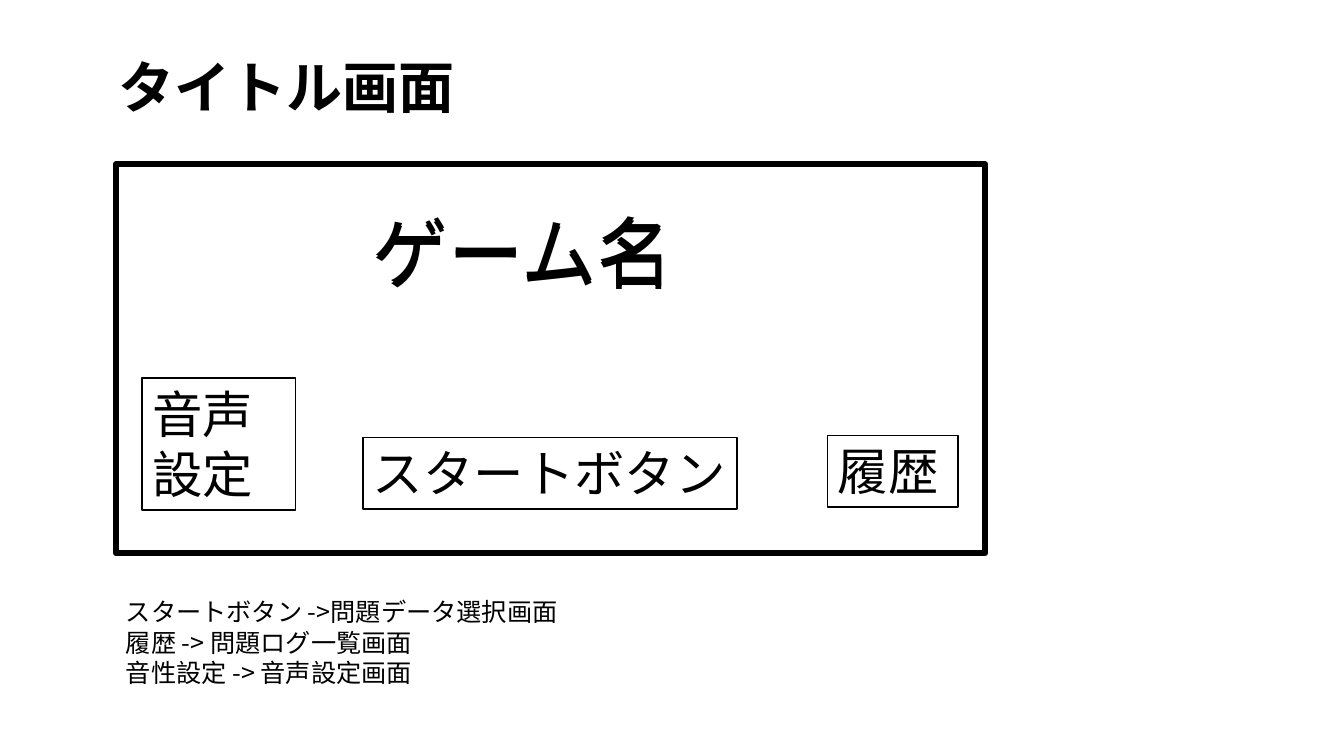
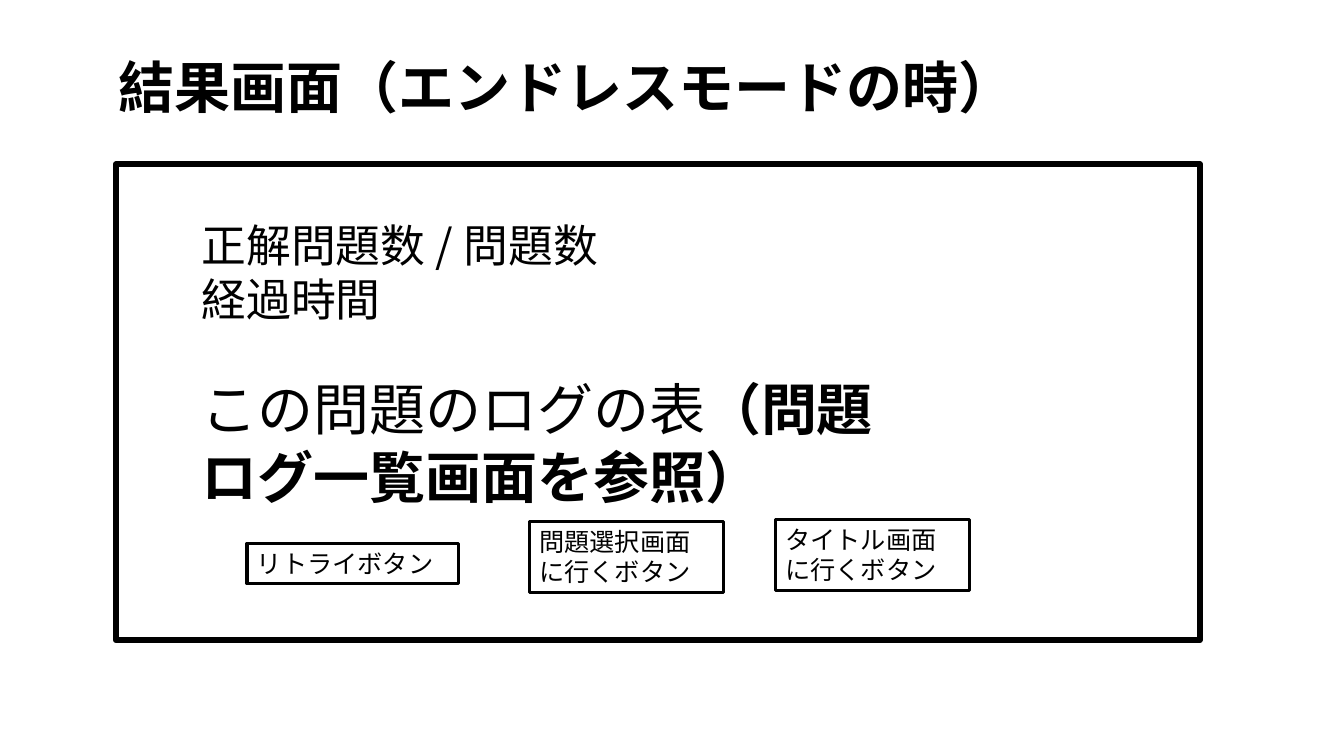
from dataclasses import dataclass

from lxml.etree import SubElement
from pptx import Presentation
from pptx.dml.color import RGBColor
from pptx.enum.shapes import MSO_SHAPE
from pptx.enum.text import MSO_ANCHOR, MSO_AUTO_SIZE, PP_ALIGN
from pptx.oxml.ns import qn
from pptx.util import Inches, Pt


@dataclass(frozen=True)
class Theme:
    """Hold the colours, font, type sizes and line widths."""
    ink: RGBColor = RGBColor(0, 0, 0)
    paper: RGBColor = RGBColor(255, 255, 255)
    font: str = "Noto Sans CJK JP"
    note: int = 18
    body: int = 32
    label: int = 36
    head: int = 40
    name: int = 54
    thin: float = 1
    mid: float = 2.25
    thick: float = 4.5


THEME = Theme()
FRAME = {
    "word_wrap": True,
    "auto_size": MSO_AUTO_SIZE.SHAPE_TO_FIT_TEXT,
    "vertical_anchor": MSO_ANCHOR.TOP,
}


def apply(item, values):
    """Set each named attribute on an item."""
    for key, value in values.items():
        setattr(item, key, value)


def write(shape, lines, size):
    """Write lines, each a list of (text, bold) runs, into a shape."""
    frame = shape.text_frame
    apply(frame, FRAME)
    for index, line in enumerate(lines):
        para = frame.add_paragraph() if index else frame.paragraphs[0]
        para.alignment = PP_ALIGN.LEFT
        for text, bold in line:
            run = para.add_run()
            run.text = text
            apply(run.font, {"size": Pt(size), "bold": bold, "name": THEME.font})
            run.font.color.rgb = THEME.ink
            SubElement(run.font._element, qn("a:ea"), typeface=THEME.font)


def plain(*texts):
    """Turn texts into lines of one regular run."""
    return [[(text, False)] for text in texts]


def place(area):
    """Turn inches into lengths."""
    return [Inches(value) for value in area]


def start(deck, title, width):
    """Add a slide with its title."""
    slide = deck.slides.add_slide(deck.slide_layouts[5])
    head = slide.shapes.title
    sides = ("left", "top", "width", "height")
    apply(head, dict(zip(sides, place((1.08, 0.47, width, 0.77)))))
    write(head, [[(title, True)]], THEME.head)
    return slide


def label(slide, area, lines, size):
    """Add a text box."""
    write(slide.shapes.add_textbox(*place(area)), lines, size)


def box(slide, area, line=None, lines=(), size=THEME.note):
    """Add a white box with an optional border and text."""
    shape = slide.shapes.add_shape(MSO_SHAPE.RECTANGLE, *place(area))
    shape.shadow.inherit = False
    shape.fill.solid()
    shape.fill.fore_color.rgb = THEME.paper
    if line:
        shape.line.color.rgb = THEME.ink
        shape.line.width = Pt(line)
    else:
        shape.line.fill.background()
    if lines:
        write(shape, lines, size)


def screen(slide, width, height):
    """Add the thick outline of a game screen."""
    box(slide, (1.15, 1.63, width, height), THEME.thick)


def opening(deck):
    """Build the title screen slide."""
    slide = start(deck, "タイトル画面", 7.7)
    screen(slide, 8.62, 3.86)
    for top in (2.01, 1.98):
        label(slide, (3.6, top, 3.6, 1), plain("ゲーム名"), THEME.name)
    notes = plain(
        "スタートボタン ->問題データ選択画面",
        "履歴 -> 問題ログ一覧画面",
        "音性設定 -> 音声設定画面",
    )
    label(slide, (1.15, 5.87, 6.04, 1.01), notes, THEME.note)
    for text, area in (
        ("スタートボタン", (3.6, 4.34, 3.71, 0.71)),
        ("履歴", (8.21, 4.32, 1.29, 0.71)),
        ("音声設定", (1.41, 3.75, 1.52, 1.31)),
    ):
        box(slide, area, THEME.thin, plain(text), THEME.label)


def result(deck):
    """Build the result screen slide."""
    slide = start(deck, "結果画面（エンドレスモードの時） ", 10.28)
    screen(slide, 10.75, 4.72)
    score = plain("正解問題数 / 問題数", "経過時間")
    box(slide, (1.9, 2.11, 9.03, 1.18), lines=score, size=THEME.body)
    log = [[("この問題のログの表", False), ("（問題ログ一覧画面を参照）", True)]]
    box(slide, (1.9, 3.67, 7.04, 1.45), lines=log, size=THEME.head)
    for text, area in (
        ("リトライボタン", (2.45, 5.39, 2.1, 0.4)),
        ("問題選択画面に行くボタン", (5.25, 5.17, 1.93, 0.71)),
        ("タイトル画面に行くボタン", (7.69, 5.15, 1.93, 0.71)),
    ):
        box(slide, area, THEME.mid, plain(text))


def main():
    """Build and save the deck."""
    deck = Presentation()
    apply(deck, {"slide_width": Inches(13.33), "slide_height": Inches(7.5)})
    opening(deck)
    result(deck)
    deck.save("out.pptx")


main()
